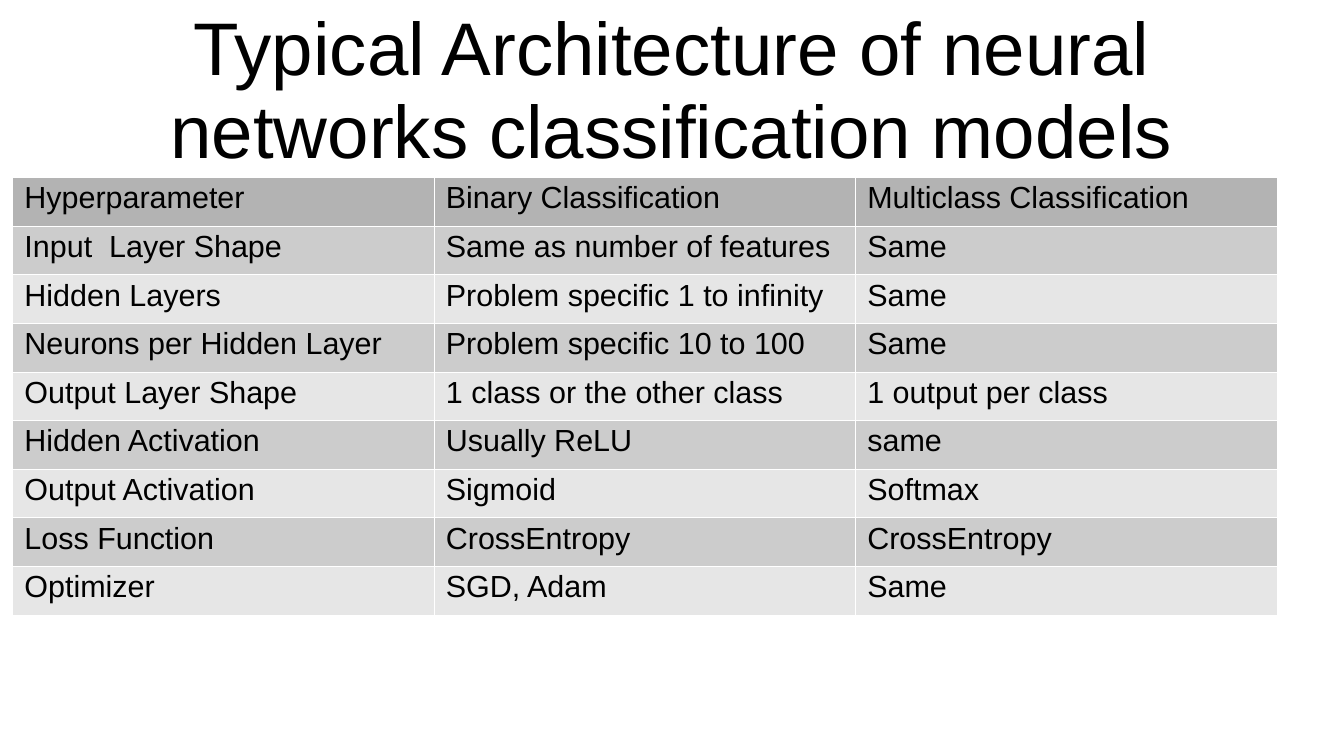
"""Build a slide with a table of typical neural network classification settings."""
from lxml import etree
from pptx import Presentation
from pptx.dml.color import RGBColor
from pptx.enum.text import MSO_ANCHOR, MSO_AUTO_SIZE, PP_ALIGN
from pptx.oxml.ns import qn
from pptx.util import Cm, Pt

MIDDLE = MSO_ANCHOR.MIDDLE
CENTER = PP_ALIGN.CENTER
NO_AUTOFIT = MSO_AUTO_SIZE.NONE
BLACK = RGBColor(0x00, 0x00, 0x00)
WHITE = RGBColor(0xFF, 0xFF, 0xFF)
HEADER_GRAY = RGBColor(0xB3, 0xB3, 0xB3)
BAND_GRAYS = (RGBColor(0xE6, 0xE6, 0xE6), RGBColor(0xCC, 0xCC, 0xCC))
FONT = "Arial"
LINE_SPACING = 0.93
BORDER_WIDTH = Pt(0.06)

ROWS = [
    ("Hyperparameter", "Binary Classification", "Multiclass Classification"),
    ("Input  Layer Shape", "Same as number of features", "Same"),
    ("Hidden Layers", "Problem specific 1 to infinity", "Same"),
    ("Neurons per Hidden Layer", "Problem specific 10 to 100", "Same"),
    ("Output Layer Shape", "1 class or the other class", "1 output per class"),
    ("Hidden Activation", "Usually ReLU", "same"),
    ("Output Activation", "Sigmoid", "Softmax"),
    ("Loss Function", "CrossEntropy", "CrossEntropy"),
    ("Optimizer", "SGD, Adam", "Same"),
]


def write_text(frame, text, size):
    para = frame.paragraphs[0]
    para.line_spacing = LINE_SPACING
    span = para.add_run()
    span.text = text
    span.font.name = FONT
    span.font.size = Pt(size)
    span.font.color.rgb = BLACK
    return para


def add_borders(cell):
    properties = cell._tc.get_or_add_tcPr()
    for side in ("lnL", "lnR", "lnT", "lnB"):
        line = etree.SubElement(properties, qn(f"a:{side}"), w=str(BORDER_WIDTH))
        fill = etree.SubElement(line, qn("a:solidFill"))
        etree.SubElement(fill, qn("a:srgbClr"), val=str(WHITE))


deck = Presentation()
deck.slide_width = Cm(28)
deck.slide_height = Cm(15.75)
page = deck.slides.add_slide(deck.slide_layouts[5])
page.background.fill.solid()
page.background.fill.fore_color.rgb = WHITE

title = page.shapes.title
title.left, title.top, title.width, title.height = Cm(1.4), Cm(0.2), Cm(25.2), Cm(3.45)
frame = title.text_frame
frame.word_wrap = True
frame.auto_size = NO_AUTOFIT
frame.vertical_anchor = MIDDLE
frame.margin_left = frame.margin_top = frame.margin_right = frame.margin_bottom = 0
heading = write_text(
    frame, "Typical Architecture of neural networks classification models", 44
)
heading.alignment = CENTER

table = page.shapes.add_table(
    len(ROWS), len(ROWS[0]), Cm(0.26), Cm(3.69), Cm(26.34), Cm(9.12)
).table
for row_index, row in enumerate(ROWS):
    for column_index, text in enumerate(row):
        cell = table.cell(row_index, column_index)
        cell.margin_left = cell.margin_right = Cm(0.25)
        cell.margin_top = cell.margin_bottom = Cm(0.13)
        add_borders(cell)
        cell.fill.solid()
        cell.fill.fore_color.rgb = BAND_GRAYS[row_index % 2] if row_index else HEADER_GRAY
        para = write_text(cell.text_frame, text, 18)
        para.runs[0].font.bold = False

deck.save("out.pptx")
